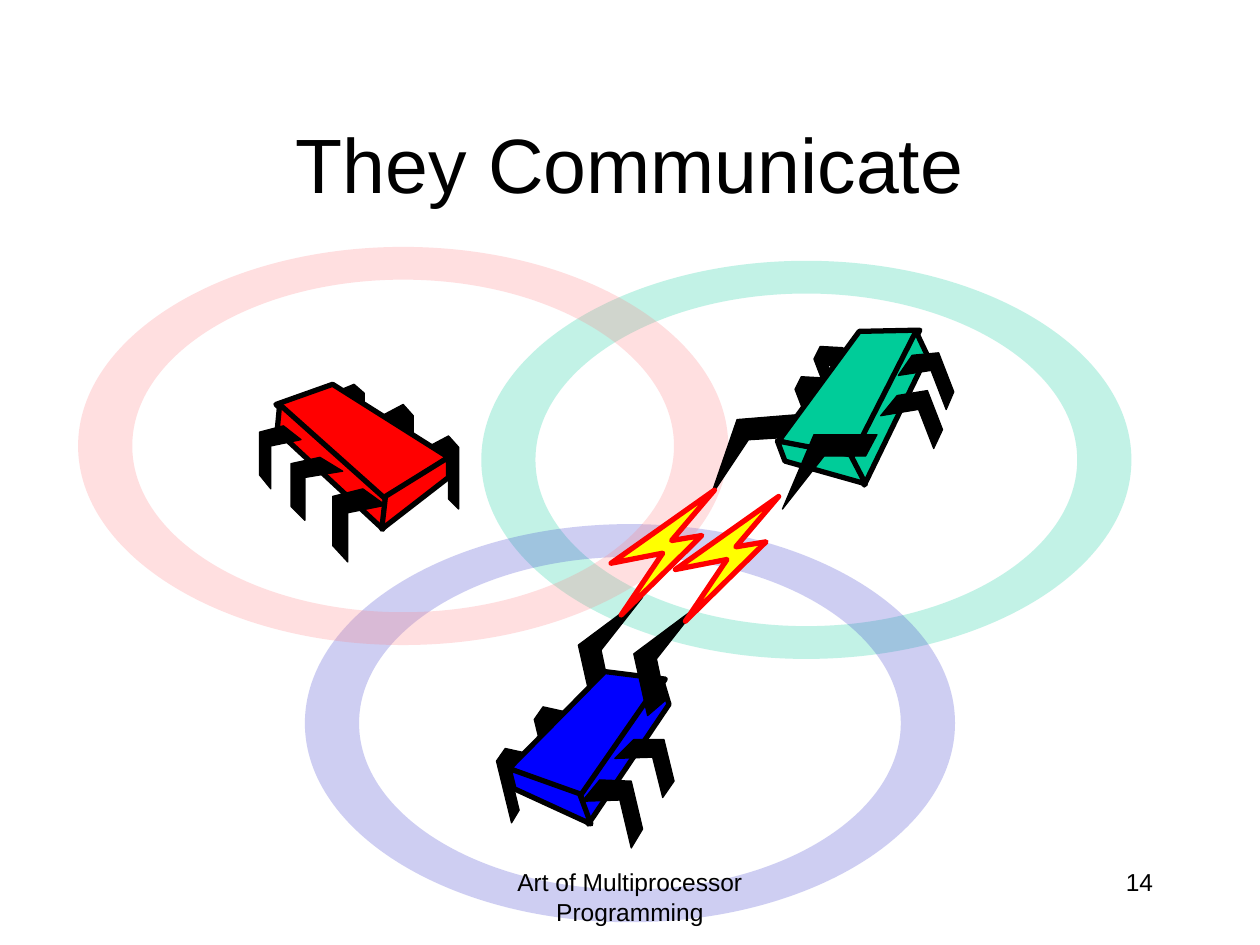
from lxml import etree
from pptx import Presentation
from pptx.dml.color import RGBColor
from pptx.enum.text import MSO_ANCHOR, PP_ALIGN
from pptx.util import Inches, Pt

MID, RIGHT = PP_ALIGN.CENTER, PP_ALIGN.RIGHT
TOP, CENTER = MSO_ANCHOR.TOP, MSO_ANCHOR.MIDDLE
BLACK, RED, BLUE, GREEN, GOLD = "000000", "FF0000", "0000FF", "00CC99", "FFFF00"

deck = Presentation()
deck.slide_width, deck.slide_height = Inches(10), Inches(7.5)
slide = deck.slides.add_slide(deck.slide_layouts[6])
shapes = slide.shapes
UNIT = deck.slide_width // 1000  # the slide is a grid of 1000 columns by 750 rows


def draw(home, loops, fill, edge=None, width=0.75):
    """Draw one closed outline, or several as one shape, on the grid."""
    pen = home.build_freeform(*loops[0][0], scale=UNIT)
    for i, loop in enumerate(loops):
        if i:
            pen.move_to(*loop[0])
        pen.add_line_segments(loop[1:] + loop[:1], close=True)
    shape = pen.convert_to_shape()
    shape.shadow.inherit = False
    shape.fill.solid()
    shape.fill.fore_color.rgb = RGBColor.from_string(fill)
    if edge:
        shape.line.color.rgb = RGBColor.from_string(edge)
        shape.line.width = Pt(width)
    else:
        shape.line.fill.background()
    return shape


def write(text, x, y, w, h, size, align, anchor=TOP):
    box = shapes.add_textbox(*(int(n * UNIT) for n in (x, y, w, h)))
    frame = box.text_frame
    frame.word_wrap = True
    frame.vertical_anchor = anchor
    frame.text = text
    line = frame.paragraphs[0]
    line.alignment = align
    font = line.runs[0].font
    font.name, font.size = "Arial", Pt(size)
    font.color.rgb = RGBColor.from_string(BLACK)


# Rings: diamonds whose sides are bent into quarter ellipses
BEND = 0.55
WIDE, HIGH = 258, 158


def add_ring(cx, cy, tint):
    loops = []
    for rx, ry in ((WIDE, HIGH), (WIDE - 43, 26 - HIGH)):  # the hole runs the other way
        loops.append([(cx - rx, cy), (cx, cy - ry), (cx + rx, cy), (cx, cy + ry)])
    ring = draw(shapes, loops, tint)
    clr = ring.fill._xPr.find(".//{*}srgbClr")
    etree.SubElement(clr, clr.tag.replace("srgbClr", "alpha"), val="24000")
    for i, side in enumerate(ring._element.findall(".//{*}lnTo")):
        end = side[0]
        before = side.getprevious()[-1]
        x1, y1, x2, y2 = (int(pt.get(k)) for pt in (before, end) for k in "xy")
        corner = (x2, y1) if i % 2 else (x1, y2)
        curve = etree.Element(side.tag.replace("lnTo", "cubicBezTo"))
        for x, y in ((x1, y1), (x2, y2)):
            etree.SubElement(curve, end.tag, x=str(round(x + BEND * (corner[0] - x))),
                             y=str(round(y + BEND * (corner[1] - y))))
        curve.append(end)
        side.getparent().replace(side, curve)


write("14", 716.67, 683.33, 208.33, 50, 14, RIGHT)
add_ring(640, 365, GREEN)
add_ring(500, 574, "3333CC")
write("They Communicate", 75, 66.5, 850, 125, 44, MID, CENTER)
add_ring(320, 354, "FF7C80")

# Bugs, from back to front: fill, outline, then shifts for each use of the outline
ONCE = [(0, 0)]
red_bug = [
    (BLACK, [(339, 355), (356, 346), (364, 355), (364, 404), (356, 396), (356, 363),
             (339, 371)], [(0, 0), (-36, -25)]),
    (BLACK, [(264, 312), (281, 305), (289, 312), (289, 354), (281, 347), (281, 319),
             (264, 326)], ONCE),
    (RED, [(264, 305), (356, 363), (304, 397), (219, 321)], ONCE),
    (RED, [(222, 321), (306, 396), (304, 420), (220, 342)], ONCE),
    (RED, [(356, 363), (356, 379), (303, 420), (306, 394)], ONCE),
    (BLACK, [(288, 388), (306, 401), (276, 407), (276, 446), (264, 433), (264, 394)], ONCE),
    (BLACK, [(254, 363), (272, 374), (242, 379), (242, 413), (231, 402), (231, 368)], ONCE),
    (BLACK, [(225, 338), (239, 349), (215, 354), (215, 388), (206, 377), (206, 343)], ONCE),
]
arm = [(470, 561), (484, 549), (477, 516), (510, 474), (459, 512)]
blue_bug = [
    (BLACK, arm, ONCE),
    (BLACK, [(419, 598), (401, 594), (394, 604), (406, 653), (412, 643), (404, 610),
             (423, 615)], [(0, 0), (30, -33)]),
    (BLUE, [(480, 533), (404, 610), (462, 632), (528, 539)], ONCE),
    (BLUE, [(525, 539), (461, 631), (467, 654), (531, 559)], ONCE),
    (BLUE, [(404, 610), (408, 626), (469, 654), (460, 630)], ONCE),
    (BLACK, [(476, 619), (462, 636), (492, 635), (501, 673), (510, 658), (501, 620)], ONCE),
    (BLACK, [(503, 587), (488, 602), (518, 601), (526, 633), (535, 620), (527, 587)], ONCE),
    (BLACK, arm, [(44, 7)]),
]
green_bug = [
    (BLACK, [(634, 329), (627, 347), (594, 349), (564, 394), (585, 333)], ONCE),
    (BLACK, [(669, 276), (651, 275), (646, 285), (664, 332), (669, 321), (657, 290),
             (675, 292)], [(0, 0), (-15, 24)]),
    (GREEN, [(682, 263), (618, 350), (678, 364), (730, 262)], ONCE),
    (GREEN, [(727, 263), (676, 363), (686, 385), (736, 282)], ONCE),
    (GREEN, [(617, 350), (623, 366), (687, 384), (675, 361)], ONCE),
    (BLACK, [(724, 282), (713, 298), (739, 294), (751, 325), (757, 311), (745, 280)], ONCE),
    (BLACK, [(712, 314), (699, 330), (729, 325), (741, 356), (748, 341), (736, 310)], ONCE),
    (BLACK, [(696, 345), (687, 362), (654, 362), (621, 404), (646, 345)], ONCE),
]
for bug in (red_bug, blue_bug, green_bug):
    group = shapes.add_group_shape()
    for fill, outline, shifts in bug:
        for dx, dy in shifts:
            points = [(x + dx, y + dy) for x, y in outline]
            draw(group.shapes, [points], fill, BLACK, 0.75 if fill == BLACK else 3)

bolt = [(493, 488), (526, 439), (485, 447), (567, 389), (533, 429), (557, 425)]
for dx, dy in ((0, 0), (51, 5)):
    draw(shapes, [[(x + dx, y + dy) for x, y in bolt]], GOLD, RED, 3)

write("Art of Multiprocessor Programming", 341.67, 683.33, 316.67, 50, 14, MID)

deck.save("out.pptx")
